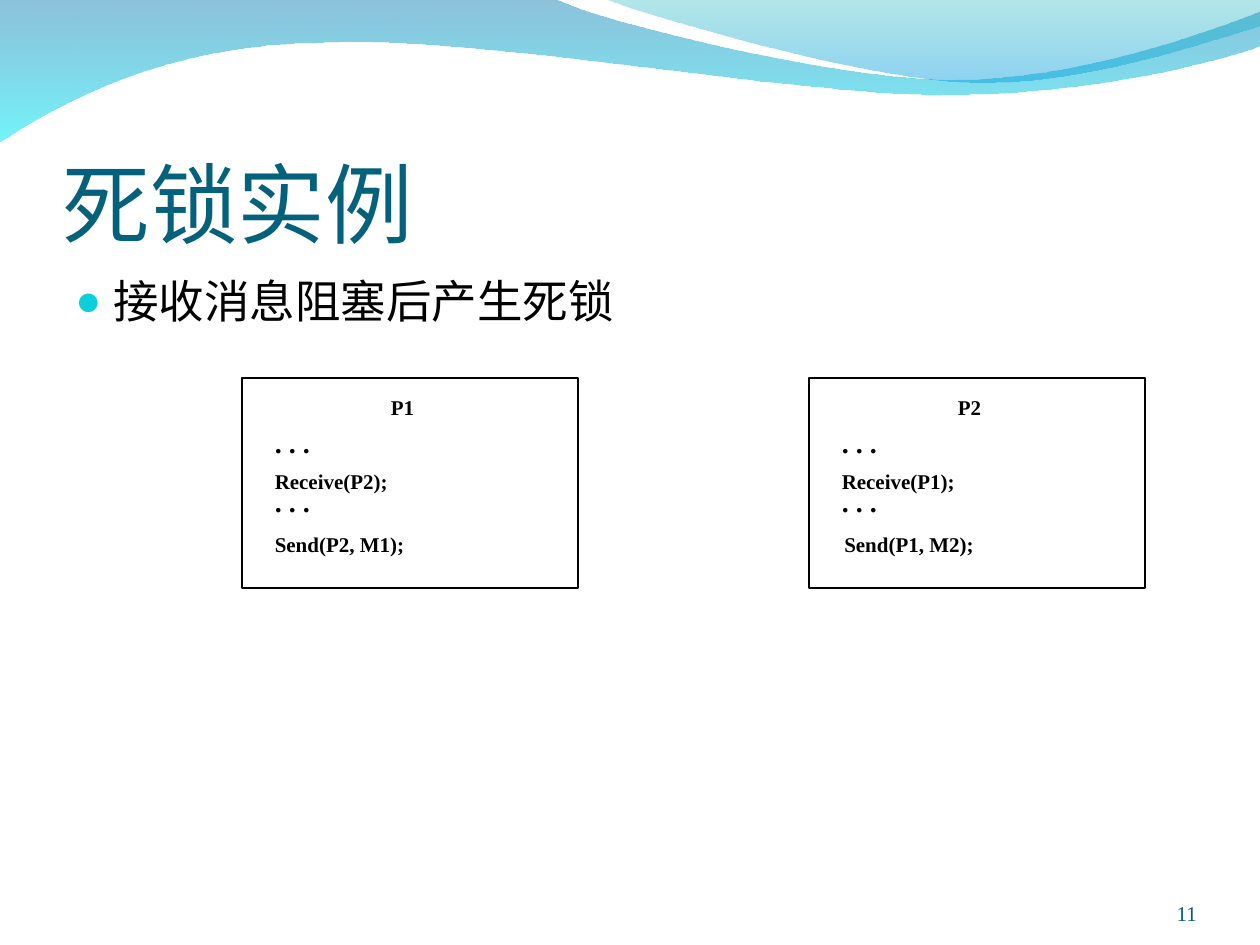
import pptx
import pptx.util
import pptx.dml.color
import pptx.enum.shapes
import pptx.enum.text
import pptx.oxml
import pptx.oxml.ns
from dataclasses import dataclass

Inches = pptx.util.Inches
Pt = pptx.util.Pt
Align = pptx.enum.text.PP_ALIGN
Anchor = pptx.enum.text.MSO_ANCHOR
Fit = pptx.enum.text.MSO_AUTO_SIZE
qn = pptx.oxml.ns.qn
SPACE = pptx.oxml.ns.nsdecls("a")


@dataclass(frozen=True)
class Theme:
    title: str = "04617B"
    number: str = "045C75"
    bullet: str = "0BD0D9"
    ink: str = "000000"
    paper: str = "FFFFFF"
    back: tuple = (("0079AF", 45), ("00EBF8", 55))
    front: tuple = (("00ADB6", 30), ("009BE5", 45))
    head: str = "Calibri"
    body: str = "Vollkorn"
    serif: str = "Times New Roman"
    big: float = 50
    mid: float = 26
    dots: float = 16
    small: float = 12


THEME = Theme()
BACK = [
    [(0, -0.01)],
    [(4.4, -0.01)],
    [(4.76, 0.17), (6.64, 0.63), (7.58, 0.63)],
    [(8.53, 0.63), (9.58, 0.26), (10, 0.09)],
    [(10.01, 0.36)],
    [(9.83, 0.44), (8.7, 0.76), (7.46, 0.75)],
    [(6.22, 0.75), (3.82, 0.28), (2.57, 0.34)],
    [(1.29, 0.35), (0.46, 0.83), (-0.01, 1.13)],
]
FRONT = [
    [(4.79, -0.01)],
    [(5.09, 0.11), (6.82, 0.62), (7.69, 0.65)],
    [(8.56, 0.69), (9.61, 0.32), (10, 0.21)],
    [(10, 0)],
]


def rgb(code):
    return pptx.dml.color.RGBColor.from_string(code)


def add_text(slide, box, text, *, size, color, font=THEME.serif, bold=False,
             align=Align.LEFT, anchor=Anchor.TOP, inset=(0.1, 0.05, 0.1, 0.05),
             wrap=True, bullet=None):
    frame = slide.shapes.add_textbox(*map(Inches, box)).text_frame
    frame.word_wrap = wrap
    frame.auto_size = Fit.NONE if wrap else Fit.SHAPE_TO_FIT_TEXT
    frame.vertical_anchor = anchor
    (frame.margin_left, frame.margin_top,
     frame.margin_right, frame.margin_bottom) = map(Inches, inset)
    para = frame.paragraphs[0]
    para.text = text
    para.alignment = align
    if bullet:
        props = para._p.get_or_add_pPr()
        props.set("marL", str(Inches(0.3)))
        props.set("indent", str(Inches(-0.3)))
        for part in (f'<a:buClr {SPACE}><a:srgbClr val="{bullet}"/></a:buClr>',
                     f'<a:buSzPct {SPACE} val="95000"/>',
                     f'<a:buFont {SPACE} typeface="{THEME.serif}"/>',
                     f'<a:buChar {SPACE} char="●"/>'):
            props.append(pptx.oxml.parse_xml(part))
    style = para.runs[0].font
    style.name = font
    style.size = Pt(size)
    style.bold = bold
    style.color.rgb = rgb(color)


def bend(wave, curves):
    lines = list(wave._element.spPr.iter(qn("a:lnTo")))
    for curve in curves[1:]:
        group, lines = lines[:len(curve)], lines[len(curve):]
        if len(curve) == 3:
            arc = pptx.oxml.parse_xml(f"<a:cubicBezTo {SPACE}/>")
            group[0].addprevious(arc)
            for line in group:
                arc.append(line[0])
                line.getparent().remove(line)


def add_wave(slide, left, top, curves, stops):
    points = [(Inches(left + x), Inches(top + y)) for curve in curves for x, y in curve]
    pen = slide.shapes.build_freeform(*points[0], scale=1.0)
    pen.add_line_segments(points[1:], close=True)
    wave = pen.convert_to_shape()
    bend(wave, curves)
    wave.shadow.inherit = False
    wave.line.fill.background()
    wave.fill.gradient()
    wave.fill.gradient_angle = 270
    for stop, (color, _) in zip(wave.fill.gradient_stops, stops):
        stop.color.rgb = rgb(color)
    nodes = list(wave._element.spPr.iter(qn("a:srgbClr")))
    for node, (_, alpha) in zip(nodes, stops):
        node.append(pptx.oxml.parse_xml(f'<a:alpha {SPACE} val="{alpha * 1000}"/>'))


def add_banner(slide, left, top):
    add_wave(slide, left, top, BACK, THEME.back)
    add_wave(slide, left, top, FRONT, THEME.front)


def add_copy(slide, left, top, width):
    add_text(slide, (left, top, width, 1.25), "死锁实例", size=THEME.big,
             color=THEME.title, font=THEME.head, anchor=Anchor.BOTTOM,
             inset=(0, 0.05, 0, 0))
    add_text(slide, (left, top + 1.35, width, 4.8), "接收消息阻塞后产生死锁",
             size=THEME.mid, color=THEME.ink, font=THEME.body, bullet=THEME.bullet)


def add_process(slide, left, top, name, receive, send, shift=0):
    kind = pptx.enum.shapes.MSO_SHAPE.RECTANGLE
    card = slide.shapes.add_shape(kind, *map(Inches, (left, top, 2.67, 1.67)))
    card.shadow.inherit = False
    card.fill.solid()
    card.fill.fore_color.rgb = rgb(THEME.paper)
    card.line.color.rgb = rgb(THEME.ink)
    card.line.width = Pt(1)
    lines = [
        (name, 1.08, 0.08, 0.39, 0.3, THEME.small),
        (". . .", 0.16, 0.33, 0.48, 0.37, THEME.dots),
        (". . .", 0.16, 0.8, 0.48, 0.37, THEME.dots),
        (receive, 0.16, 0.67, 1.1, 0.3, THEME.small),
        (send, 0.16 + shift, 1.17, 1.23, 0.3, THEME.small),
    ]
    for text, x, y, width, height, size in lines:
        add_text(slide, (left + x, top + y, width, height), text, size=size,
                 color=THEME.ink, bold=True, align=Align.CENTER, wrap=False)


def add_number(slide, box):
    add_text(slide, box, "11", size=THEME.small, color=THEME.number,
             align=Align.RIGHT, anchor=Anchor.BOTTOM, inset=(0, 0, 0, 0))


def main():
    deck = pptx.Presentation()
    deck.slide_width, deck.slide_height = Inches(10), Inches(7.5)
    slide = deck.slides.add_slide(deck.slide_layouts[6])
    add_banner(slide, 0, 0)
    add_copy(slide, 0.5, 0.77, 9)
    add_number(slide, (8.67, 6.95, 0.83, 0.4))
    add_process(slide, 1.92, 3, "P1", "Receive(P2);", "Send(P2, M1);")
    add_process(slide, 6.42, 3, "P2", "Receive(P1);", "Send(P1, M2);", shift=0.02)
    deck.save("out.pptx")


if __name__ == "__main__":
    main()
